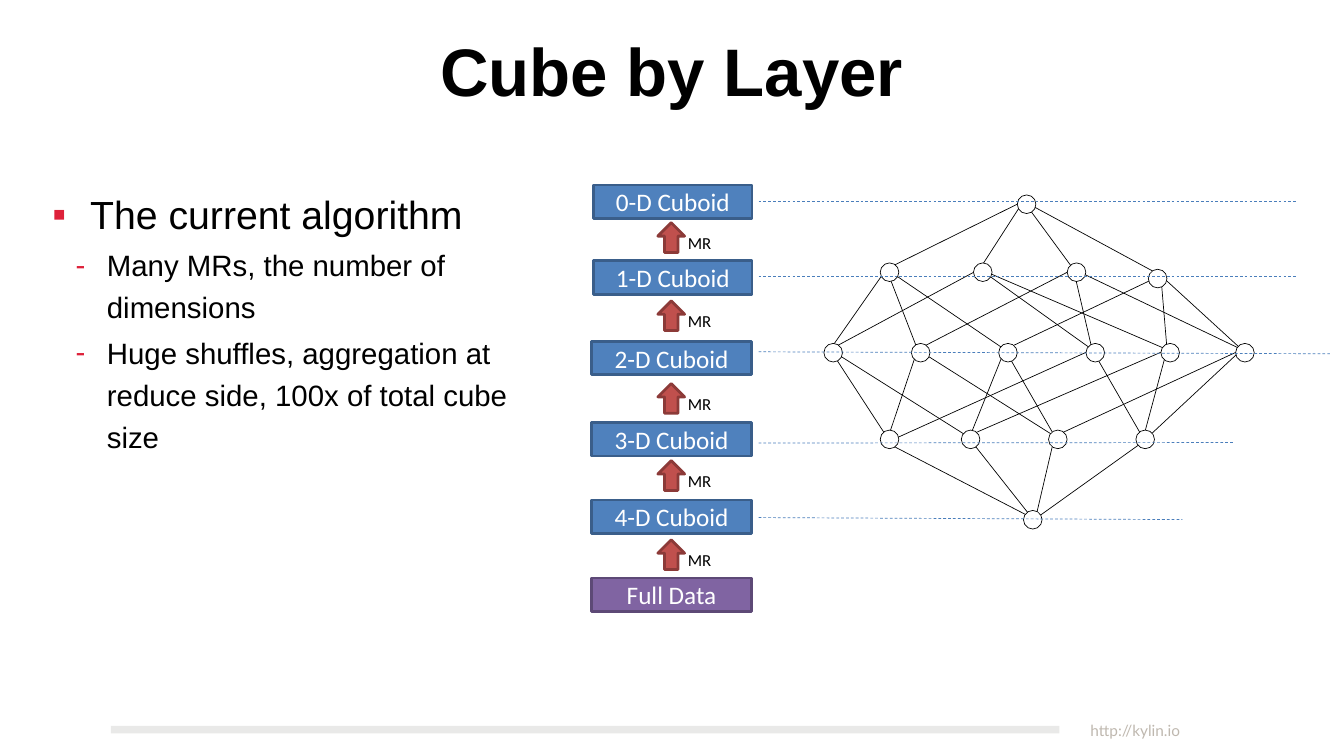
from dataclasses import dataclass
from typing import Any

import lxml.etree
import pptx
import pptx.dml.color
import pptx.enum.dml
import pptx.enum.shapes
import pptx.enum.text
import pptx.oxml.ns
import pptx.util

Pt = pptx.util.Pt
Shapes = pptx.enum.shapes.MSO_SHAPE
Align = pptx.enum.text.PP_ALIGN
Anchor = pptx.enum.text.MSO_ANCHOR
qn = pptx.oxml.ns.qn


@dataclass(frozen=True)
class Style:
    font: str
    size: float
    color: str
    bold: bool = False


@dataclass(frozen=True)
class Theme:
    title: Style = Style("Arial", 96, "000000", True)
    topic: Style = Style("Arial", 56, "000000")
    detail: Style = Style("Arial", 42, "000000")
    layer: Style = Style("Calibri", 36, "FFFFFF")
    step: Style = Style("Calibri", 24, "000000")
    footer: Style = Style("Lato", 22, "BFB8AF")
    bullet: str = "DE213A"
    bar: str = "E9E9E8"
    ink: str = "000000"
    paper: str = "FFFFFF"
    guide: str = "4A7EBB"
    cuboid: tuple[str, str] = ("4F81BD", "3A5E8A")
    data: tuple[str, str] = ("8064A2", "5D4976")
    arrow: tuple[str, str] = ("C0504D", "8C3A38")


@dataclass(frozen=True)
class Bullet:
    text: str
    style: Style
    mark: str
    level: int
    margin: float
    hang: float
    before: float


@dataclass(frozen=True)
class Layer:
    label: str
    left: float
    top: float
    width: float
    colors: tuple[str, str]


@dataclass(frozen=True)
class Guide:
    right: float
    start_y: float
    end_y: float


@dataclass(frozen=True)
class Node:
    x: float
    y: float
    anchor: float = -4.5


@dataclass(frozen=True)
class Edge:
    start: Node
    end: Node
    start_dip: float = 0
    end_dip: float = 0
    end_shift: float = 0


THEME = Theme()
NODE_SIZE = 26.6
DIP = 9

BULLETS = [
    Bullet("The current algorithm", THEME.topic, "▪", 0, 54, 54, 0),
    Bullet("Many MRs, the number of dimensions", THEME.detail, "-", 1, 77.8, 44.6, 4),
    Bullet("Huge shuffles, aggregation at reduce side, 100x of total cube size",
           THEME.detail, "-", 1, 77.8, 44.6, 4),
]
LAYERS = [
    Layer("0-D Cuboid", 848.2, 264.2, 226, THEME.cuboid),
    Layer("1-D Cuboid", 848.2, 372.2, 226, THEME.cuboid),
    Layer("2-D Cuboid", 845.3, 487.4, 228, THEME.cuboid),
    Layer("3-D Cuboid", 845.3, 603.4, 228, THEME.cuboid),
    Layer("4-D Cuboid", 845.3, 714.2, 228, THEME.cuboid),
    Layer("Full Data", 845.3, 825.8, 228, THEME.data),
]
STEP_TOPS = [318.2, 429.8, 547.9, 658.1, 771.1]
GUIDES = [
    Guide(1853.3, 288, 288), Guide(1853.3, 394.6, 394.6), Guide(1900, 502.6, 505.4),
    Guide(1761.1, 632.9, 632.2), Guide(1689.1, 739.4, 742.3),
]

APEX = Node(1466.6, 291.8)
SINGLES = [Node(x, 388.9) for x in (1270.8, 1404, 1537.9)] + [Node(1653.8, 398, 4.5)]
PAIRS = [Node(x, 503.9) for x in (1190.3, 1315.3, 1440, 1564.7, 1671.7, 1778.5)]
TRIPLES = [Node(x, 627.7) for x in (1270.8, 1386.6, 1511.2, 1636)]
BASE = Node(1475.4, 742.5)
SINGLE_LINKS = [(0, 1, 2), (0, 3, 4), (1, 3, 5), (2, 4, 5)]
PAIR_LINKS = [
    ((0, 0), (1, 0)), ((2, 0), (0, DIP)), ((1, DIP), (2, 0)),
    ((0, DIP), (3, 0)), ((1, 0), (3, DIP)), ((3, DIP), (2, 0)),
]
BASE_LINKS = [(DIP, 0, 0), (0, DIP, DIP), (0, 0, DIP), (DIP, DIP, 0)]

EDGES = [Edge(APEX, node) for node in SINGLES]
EDGES += [Edge(SINGLES[i], PAIRS[j]) for i, links in enumerate(SINGLE_LINKS) for j in links]
EDGES += [Edge(PAIRS[i], TRIPLES[j], end_dip=dip)
          for i, links in enumerate(PAIR_LINKS) for j, dip in links]
EDGES += [Edge(node, BASE, *link) for node, link in zip(TRIPLES, BASE_LINKS)]


def rgb(color: str) -> pptx.dml.color.RGBColor:
    return pptx.dml.color.RGBColor.from_string(color)


def write(para: Any, text: str, style: Style, align: Any = Align.LEFT) -> None:
    para.text = text
    para.alignment = align
    for span in para.runs:
        span.font.name = style.font
        span.font.size = Pt(style.size)
        span.font.bold = style.bold
        span.font.color.rgb = rgb(style.color)


def set_frame(frame: Any, inset: float, anchor: Any = Anchor.TOP, wrap: bool = True) -> None:
    frame.auto_size = pptx.enum.text.MSO_AUTO_SIZE.NONE
    frame.word_wrap = wrap
    frame.vertical_anchor = anchor
    frame.margin_left = frame.margin_right = Pt(inset)
    frame.margin_top = frame.margin_bottom = Pt(inset)


def add_label(page: Any, text: str, style: Style, left: float, top: float,
              width: float, height: float, align: Any = Align.LEFT, wrap: bool = True) -> None:
    box = page.shapes.add_textbox(Pt(left), Pt(top), Pt(width), Pt(height))
    set_frame(box.text_frame, 7.2, wrap=wrap)
    write(box.text_frame.paragraphs[0], text, style, align)


def add_block(page: Any, kind: Any, left: float, top: float, width: float, height: float,
              fill: str, line: str | None = None, weight: float = 4) -> Any:
    block = page.shapes.add_shape(kind, Pt(left), Pt(top), Pt(width), Pt(height))
    block.shadow.inherit = False
    block.fill.solid()
    block.fill.fore_color.rgb = rgb(fill)
    if line:
        block.line.color.rgb = rgb(line)
        block.line.width = Pt(weight)
    else:
        block.line.fill.background()
    return block


def add_line(page: Any, x1: float, y1: float, x2: float, y2: float, color: str) -> Any:
    line = page.shapes.add_connector(
        pptx.enum.shapes.MSO_CONNECTOR.STRAIGHT, Pt(x1), Pt(y1), Pt(x2), Pt(y2))
    line.line.color.rgb = rgb(color)
    line.line.width = Pt(1)
    lxml.etree.SubElement(line._element.spPr, qn("a:effectLst"))
    return line


def add_bullet(para: Any, bullet: Bullet) -> None:
    para.level = bullet.level
    para.line_spacing = 1.2
    para.space_before = Pt(bullet.before)
    props = para._p.get_or_add_pPr()
    props.set("marL", str(int(Pt(bullet.margin))))
    props.set("indent", str(-int(Pt(bullet.hang))))
    color = lxml.etree.SubElement(props, qn("a:buClr"))
    lxml.etree.SubElement(color, qn("a:srgbClr"), val=THEME.bullet)
    lxml.etree.SubElement(props, qn("a:buFont"), typeface="Arial")
    lxml.etree.SubElement(props, qn("a:buChar"), char=bullet.mark)
    write(para, bullet.text, bullet.style)


def add_text(page: Any) -> None:
    add_block(page, Shapes.RECTANGLE, 158.4, 1036.8, 1355, 10.8, THEME.bar)
    add_label(page, "http://kylin.io", THEME.footer, 1298.2, 1022.4, 394.6, 39.6, Align.RIGHT)
    title = page.shapes.title
    title.left, title.top, title.width, title.height = Pt(49), Pt(18.7), Pt(1821.6), Pt(161.3)
    set_frame(title.text_frame, 2.9, Anchor.MIDDLE)
    write(title.text_frame.paragraphs[0], "Cube by Layer", THEME.title, Align.CENTER)
    body = page.shapes.add_textbox(Pt(72), Pt(255.6), Pt(715.7), Pt(742.3))
    set_frame(body.text_frame, 2.9)
    for index, bullet in enumerate(BULLETS):
        frame = body.text_frame
        add_bullet(frame.add_paragraph() if index else frame.paragraphs[0], bullet)


def add_lattice(page: Any) -> None:
    for edge in EDGES:
        start, end = edge.start, edge.end
        add_line(page, start.x + start.anchor, start.y - 4.5 + edge.start_dip,
                 end.x + end.anchor + edge.end_shift, end.y - 4.5 + edge.end_dip, THEME.ink)
    for node in [APEX, *SINGLES, *PAIRS, *TRIPLES, BASE]:
        add_block(page, Shapes.OVAL, node.x - NODE_SIZE / 2, node.y - NODE_SIZE / 2,
                  NODE_SIZE, NODE_SIZE, THEME.paper, THEME.ink, 1)


def add_layers(page: Any) -> None:
    for layer in LAYERS:
        block = add_block(page, Shapes.RECTANGLE, layer.left, layer.top, layer.width, 48.2,
                          *layer.colors)
        set_frame(block.text_frame, 0, Anchor.MIDDLE)
        write(block.text_frame.paragraphs[0], layer.label, THEME.layer, Align.CENTER)
    for guide in GUIDES:
        line = add_line(page, 1083.6, guide.start_y, guide.right, guide.end_y, THEME.guide)
        line.line.dash_style = pptx.enum.dml.MSO_LINE.DASH
    for top in STEP_TOPS:
        add_block(page, Shapes.UP_ARROW, 939.8, top, 38.2, 42.5, *THEME.arrow)
        add_label(page, "MR", THEME.step, 975.6, top + 6.8, 49, 43.2, wrap=False)


def main() -> None:
    deck = pptx.Presentation()
    deck.slide_width, deck.slide_height = Pt(1920), Pt(1080)
    page = deck.slides.add_slide(deck.slide_layouts.get_by_name("Title Only"))
    add_text(page)
    add_lattice(page)
    add_layers(page)
    deck.save("out.pptx")


if __name__ == "__main__":
    main()
